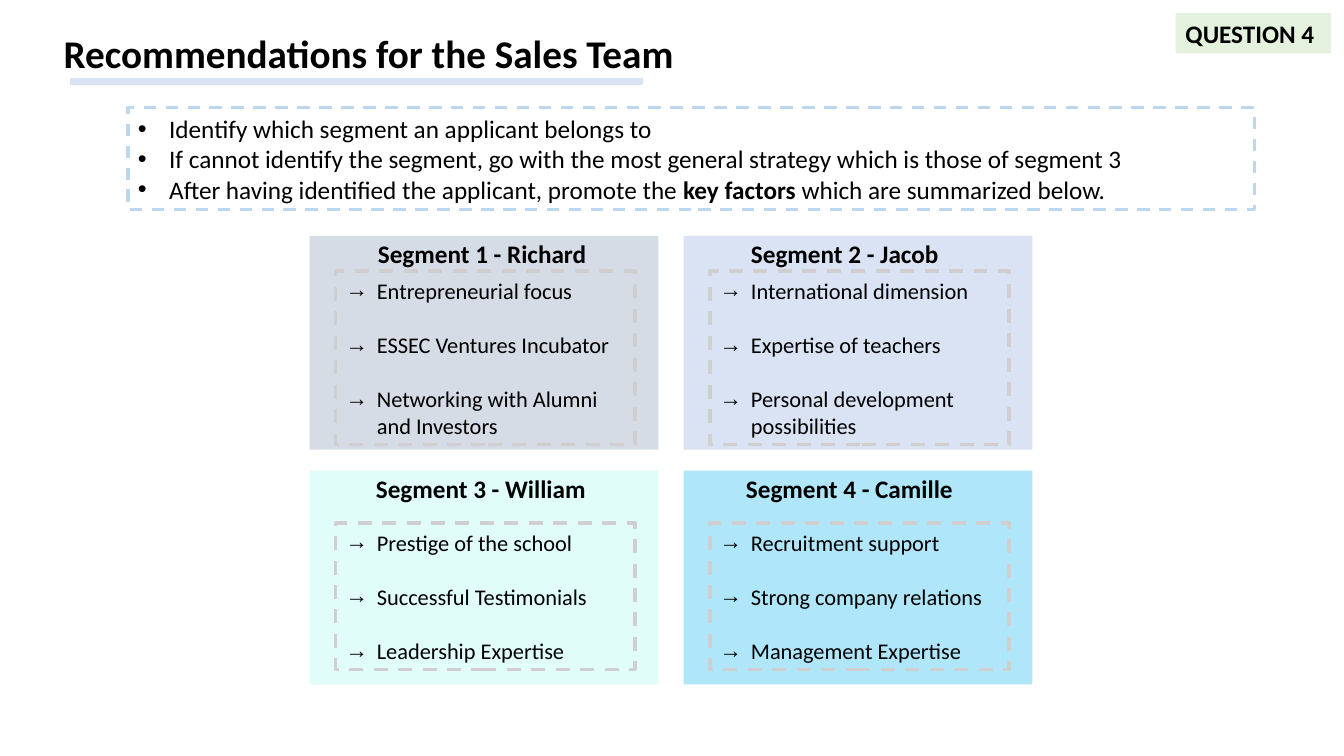
from pptx import Presentation
from pptx.dml.color import RGBColor
from pptx.enum.dml import MSO_LINE
from pptx.enum.shapes import MSO_CONNECTOR, MSO_SHAPE
from pptx.enum.text import MSO_ANCHOR, PP_ALIGN
from pptx.oxml.ns import qn
from pptx.util import Inches, Pt
from lxml import etree

RECTANGLE = MSO_SHAPE.RECTANGLE
STRAIGHT = MSO_CONNECTOR.STRAIGHT
DASH = MSO_LINE.DASH
TOP, MIDDLE = MSO_ANCHOR.TOP, MSO_ANCHOR.MIDDLE
LEFT, CENTER = PP_ALIGN.LEFT, PP_ALIGN.CENTER

FONT = "Calibri"
BLACK = RGBColor(0x00, 0x00, 0x00)
GREY_BLUE = RGBColor(0xD6, 0xDC, 0xE5)
PALE_BLUE = RGBColor(0xDA, 0xE3, 0xF3)
MINT = RGBColor(0x65, 0xF5, 0xE7)
SKY = RGBColor(0x00, 0xB0, 0xF0)
GREEN = RGBColor(0xC5, 0xE0, 0xB4)
DASH_GREY = RGBColor(0xD0, 0xCE, 0xCE)
DASH_BLUE = RGBColor(0xBD, 0xD7, 0xEE)

ADVICE = [
    [("Identify which segment an applicant belongs to", False)],
    [("If cannot identify the segment, go with the most general strategy "
      "which is those of segment 3", False)],
    [("After having identified the applicant, promote the ", False),
     ("key factors ", True), ("which are summarized below.", False)],
]

# heading, heading indent, fill, opacity in percent, key factors
SEGMENTS = [
    ("Segment 1 - Richard", 0.58, GREY_BLUE, 100,
     ["Entrepreneurial focus", "ESSEC Ventures Incubator",
      "Networking with Alumni and Investors"]),
    ("Segment 2 - Jacob", 0.57, PALE_BLUE, 100,
     ["International dimension", "Expertise of teachers",
      "Personal development possibilities"]),
    ("Segment 3 - William", 0.56, MINT, 20,
     ["Prestige of the school", "Successful Testimonials",
      "Leadership Expertise"]),
    ("Segment 4 - Camille", 0.52, SKY, 31,
     ["Recruitment support", "Strong company relations",
      "Management Expertise"]),
]
# list top within the card and list height, for each row of cards
LIST_ROWS = [(0.35, 1.72), (0.52, 1.45)]


def add_rectangle(page, left, top, width, height):
    box = page.shapes.add_shape(RECTANGLE, Inches(left), Inches(top),
                                Inches(width), Inches(height))
    box.shadow.inherit = False
    box.fill.background()
    box.line.fill.background()
    return box


def fill_box(box, color, opacity):
    box.fill.solid()
    box.fill.fore_color.rgb = color
    if opacity < 100:
        color_element = box.fill._xPr.find(qn("a:solidFill"))[0]
        alpha = etree.SubElement(color_element, qn("a:alpha"))
        alpha.set("val", str(opacity * 1000))


def add_run(para, text, size, bold=False):
    span = para.add_run()
    span.text = text
    span.font.name = FONT
    span.font.size = Pt(size)
    span.font.bold = bold
    span.font.color.rgb = BLACK


def add_label(page, text, left, top, width):
    box = page.shapes.add_textbox(Inches(left), Inches(top),
                                  Inches(width), Inches(0.4))
    box.text_frame.word_wrap = True
    add_run(box.text_frame.paragraphs[0], text, 18, True)
    return box


def add_dashed_list(page, left, top, width, height, items, bullet, size,
                    gap, color, weight):
    """Draw a dashed frame with one bulleted paragraph per item of runs."""
    box = add_rectangle(page, left, top, width, height)
    box.line.color.rgb = color
    box.line.width = Pt(weight)
    box.line.dash_style = DASH
    frame = box.text_frame
    frame.word_wrap = True
    frame.vertical_anchor = MIDDLE
    for index, item in enumerate(items):
        para = frame.add_paragraph() if index else frame.paragraphs[0]
        para.alignment = LEFT
        if index and gap:
            para.space_before = Pt(gap)
        properties = para._p.get_or_add_pPr()
        properties.set("marL", str(Inches(0.31)))
        properties.set("indent", str(-Inches(0.31)))
        etree.SubElement(properties, qn("a:buFont")).set("typeface", "Arial")
        etree.SubElement(properties, qn("a:buChar")).set("char", bullet)
        for text, bold in item:
            add_run(para, text, size, bold)


def add_title(page, left, top, width, height):
    title = page.shapes.title
    title.left, title.top = Inches(left), Inches(top)
    title.width, title.height = Inches(width), Inches(height)
    frame = title.text_frame
    frame.vertical_anchor = TOP
    para = frame.paragraphs[0]
    para.alignment = CENTER
    para.line_spacing = 1.0
    add_run(para, "Recommendations for the Sales Team", 28, True)

    rule_y = Inches(top + height)
    rule = page.shapes.add_connector(STRAIGHT, Inches(left + 1.4), rule_y,
                                     Inches(left + 7.09), rule_y)
    rule.line.color.rgb = PALE_BLUE
    rule.line.width = Pt(5)
    etree.SubElement(rule._element.spPr, qn("a:effectLst"))


def add_segment(page, left, top, width, height, segment, list_row):
    heading, indent, color, opacity, factors = segment
    list_top, list_height = list_row
    card = add_rectangle(page, left, top, width, height)
    fill_box(card, color, opacity)
    add_label(page, heading, left + indent, top - 0.02, 2.48)
    add_dashed_list(page, left + 0.26, top + list_top, 2.97, list_height,
                    [[(factor, False)] for factor in factors],
                    "→", 16, 19.5, DASH_GREY, 2.5)


def main():
    deck = Presentation()
    deck.slide_width, deck.slide_height = Inches(13.33), Inches(7.5)
    page = deck.slides.add_slide(deck.slide_layouts.get_by_name("Title Only"))
    add_title(page, -0.71, 0.24, 8.73, 0.57)
    tag = add_label(page, "QUESTION 4", 11.66, 0.13, 1.54)
    fill_box(tag, GREEN, 45)
    add_dashed_list(page, 1.27, 1.07, 11.17, 1.01, ADVICE, "•", 18, 0,
                    DASH_BLUE, 2.25)
    for index, segment in enumerate(SEGMENTS):
        row, column = divmod(index, 2)
        add_segment(page, 3.07 + column * 3.71, 2.34 + row * 2.33,
                    3.46, 2.12, segment, LIST_ROWS[row])
    deck.save("out.pptx")


if __name__ == "__main__":
    main()
